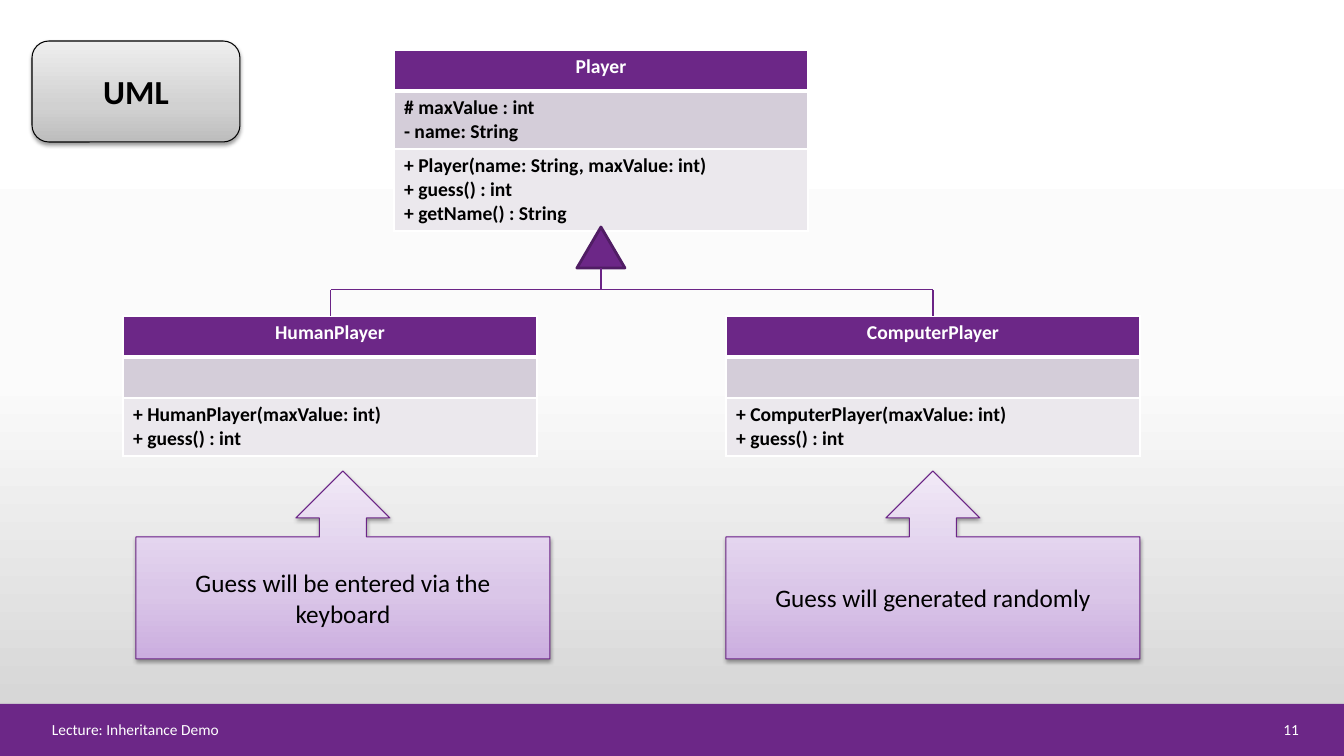
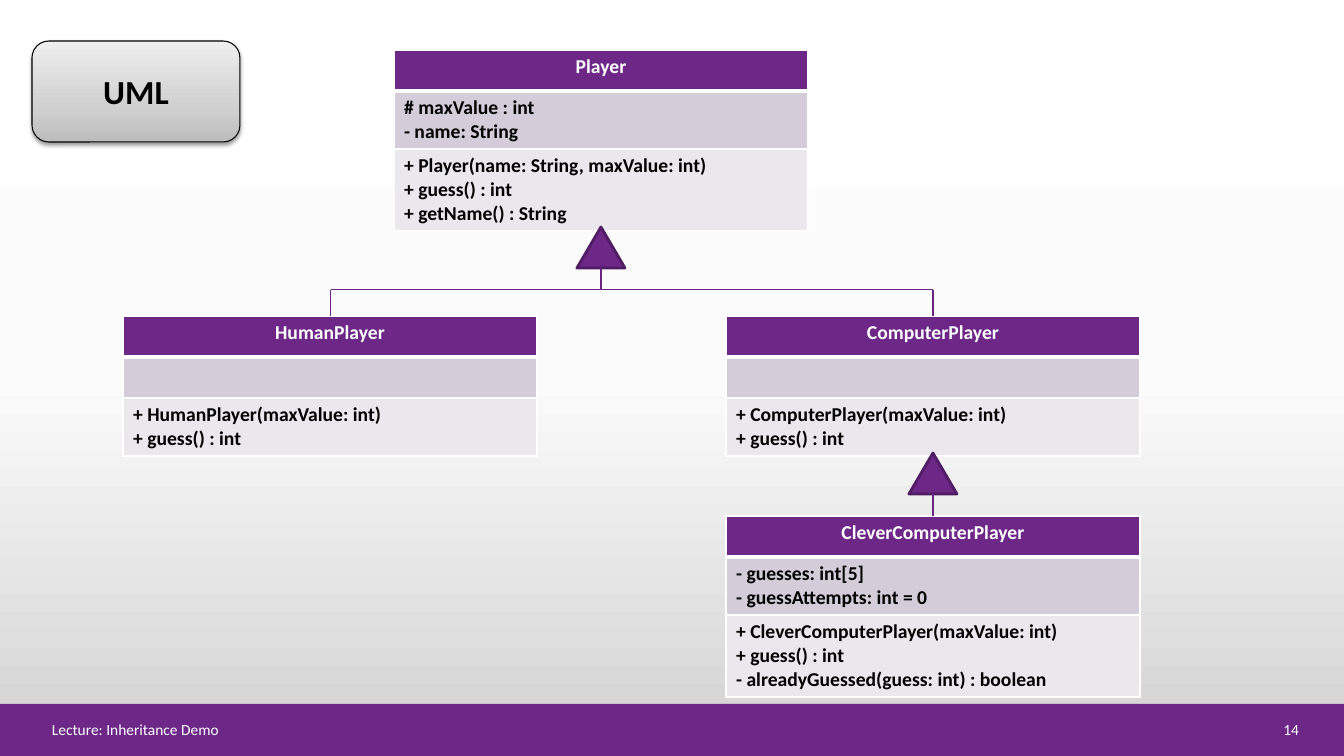
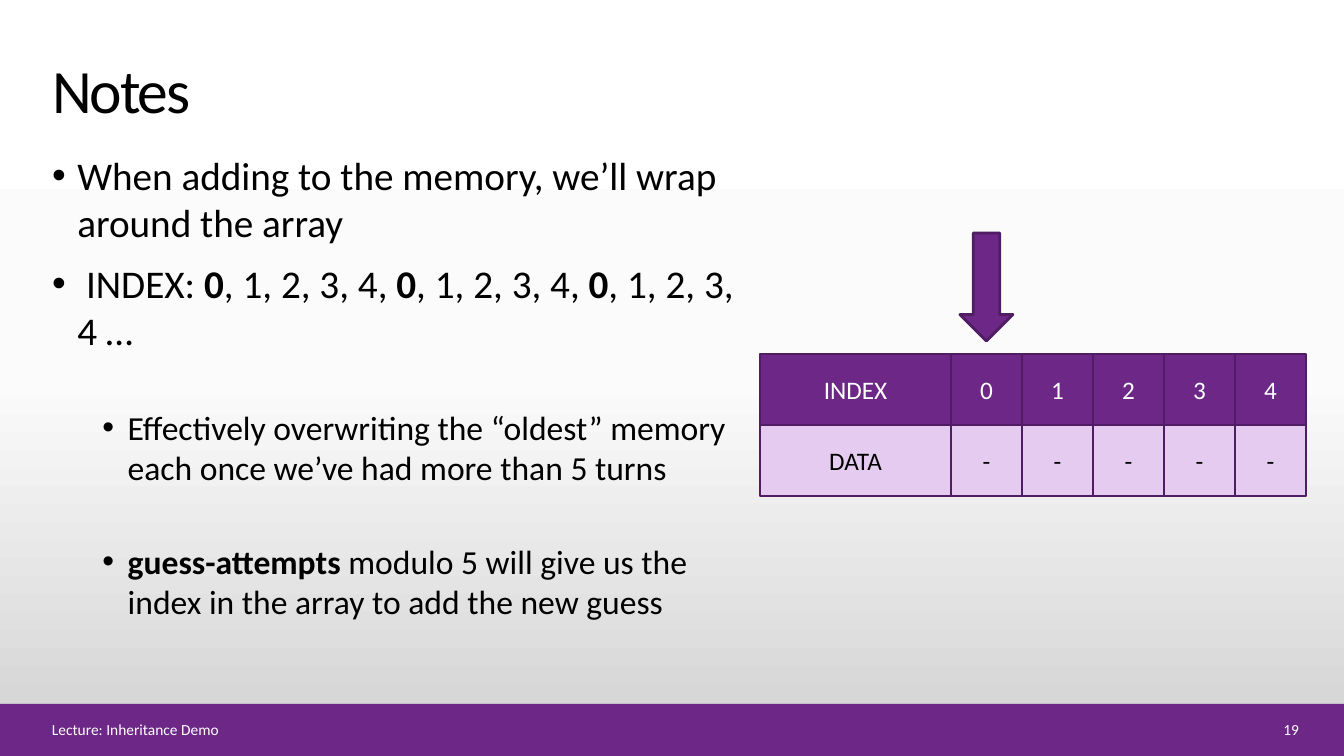
from dataclasses import dataclass

import lxml.etree
import pptx
import pptx.dml.color
import pptx.enum.shapes
import pptx.enum.text
import pptx.oxml.ns
import pptx.util

SHAPE = pptx.enum.shapes.MSO_SHAPE
ALIGN = pptx.enum.text.PP_ALIGN
ANCHOR = pptx.enum.text.MSO_ANCHOR
EMU_PER_PX = 914400 / 100.8
EMU_PER_PT = 12700

Stops = tuple[tuple[int, str], ...]


@dataclass(frozen=True)
class TextStyle:
    size: int
    color: str = "000000"
    bold: bool = False


@dataclass(frozen=True)
class Theme:
    font: str = "Calibri"
    purple: str = "6C2787"
    dark_purple: str = "501D64"
    line_purple: str = "6B2486"
    pale_purple: str = "E6CBF0"
    black: str = "000000"
    white: str = "FFFFFF"
    attribute_row: str = "D4CDD9"
    method_row: str = "EBE8ED"
    background: Stops = ((0, "FFFFFF"), (50, "FBFBFB"), (100, "D1D1D1"))
    callout: Stops = ((0, "CBADDF"), (35, "DAC6E8"), (100, "F1E9F7"))
    badge: Stops = ((0, "BDBDBD"), (35, "D1D1D1"), (100, "EEEEEE"))
    thin: float = 0.75
    thick: float = 2
    title: TextStyle = TextStyle(44)
    bullet: TextStyle = TextStyle(28)
    sub_bullet: TextStyle = TextStyle(24)
    badge_text: TextStyle = TextStyle(24, bold=True)
    body: TextStyle = TextStyle(18)
    body_light: TextStyle = TextStyle(18, "FFFFFF")
    member: TextStyle = TextStyle(14, bold=True)
    class_name: TextStyle = TextStyle(14, "FFFFFF", True)
    footer: TextStyle = TextStyle(11, "FFFFFF")


THEME = Theme()


@dataclass(frozen=True)
class Box:
    left: int
    top: int
    width: int
    height: int

    def emu(self) -> tuple[int, ...]:
        return tuple(px(v) for v in (self.left, self.top, self.width, self.height))


@dataclass(frozen=True)
class UmlClass:
    name: str
    attributes: tuple[str, ...]
    methods: tuple[str, ...]
    left: int
    top: int


@dataclass(frozen=True)
class Bullet:
    """One list item; its phrases are (text, bold) pairs."""
    level: int
    space_before: int
    phrases: tuple[tuple[str, bool], ...]


SLIDE = Box(0, 0, 1344, 756)
BAND = Box(0, 704, 1344, 52)
FOOTER = Box(42, 718, 1174, 23)
PAGE_NUMBER = Box(1233, 718, 76, 23)
BADGE = Box(32, 41, 208, 101)
CLASS_WIDTH = 414
ROW_HEIGHT = 41
TRIANGLE_WIDTH, TRIANGLE_HEIGHT = 48, 41
STEM = 22
COMPUTER_X = 933

PLAYER = UmlClass(
    "Player",
    ("# maxValue : int", "- name: String"),
    ("+ Player(name: String, maxValue: int)", "+ guess() : int", "+ getName() : String"),
    394, 50)
HUMAN = UmlClass(
    "HumanPlayer", (), ("+ HumanPlayer(maxValue: int)", "+ guess() : int"), 123, 316)
COMPUTER = UmlClass(
    "ComputerPlayer", (), ("+ ComputerPlayer(maxValue: int)", "+ guess() : int"), 726, 316)
CLEVER = UmlClass(
    "CleverComputerPlayer",
    ("- guesses: int[5]", "- guessAttempts: int = 0"),
    ("+ CleverComputerPlayer(maxValue: int)", "+ guess() : int",
     "- alreadyGuessed(guess: int) : boolean"),
    726, 516)

CALLOUTS = (
    (Box(136, 471, CLASS_WIDTH, 188), "Guess will be entered via the keyboard"),
    (Box(726, 471, CLASS_WIDTH, 188), "Guess will generated randomly"),
)

NOTES = (
    Bullet(0, 0, (("When adding to the memory, we’ll wrap around the array", False),)),
    Bullet(0, 10, ((" INDEX: ", False), ("0", True), (", 1, 2, 3, 4, ", False),
                   ("0", True), (", 1, 2, 3, 4, ", False),
                   ("0", True), (", 1, 2, 3, 4 …", False))),
    Bullet(1, 38, (("Effectively overwriting the “oldest” memory each once "
                    "we’ve had more than 5 turns", False),)),
    Bullet(1, 38, (("guess-attempts", True),
                   (" modulo 5 will give us the index in the array to add the new guess",
                    False))),
)


def px(value: float) -> int:
    return round(value * EMU_PER_PX)


def rgb(color: str) -> pptx.dml.color.RGBColor:
    return pptx.dml.color.RGBColor.from_string(color)


def add_element(parent, tag: str, **attributes):
    element = lxml.etree.SubElement(parent, pptx.oxml.ns.qn(tag))
    for key, value in attributes.items():
        element.set(key, str(value))
    return element


def format_run(run, style: TextStyle) -> None:
    run.font.name = THEME.font
    run.font.size = pptx.util.Pt(style.size)
    run.font.bold = style.bold
    run.font.color.rgb = rgb(style.color)


def write(frame, text: str, style: TextStyle, align=ALIGN.LEFT, anchor=None) -> None:
    frame.text = text
    frame.word_wrap = True
    if anchor is not None:
        frame.vertical_anchor = anchor
    for paragraph in frame.paragraphs:
        paragraph.alignment = align
        for run in paragraph.runs:
            format_run(run, style)


def fill_gradient(fill, owner, stops: Stops, angle: int) -> None:
    """Give the fill, the first gradient within owner, its stops and clockwise angle."""
    fill.gradient()
    gradient = owner.find(".//" + pptx.oxml.ns.qn("a:gradFill"))
    for child in list(gradient):
        gradient.remove(child)
    stop_list = add_element(gradient, "a:gsLst")
    for position, color in stops:
        stop = add_element(stop_list, "a:gs", pos=position * 1000)
        add_element(stop, "a:srgbClr", val=color)
    add_element(gradient, "a:lin", ang=angle * 60000, scaled=0)


def draw_shape(slide, kind, box: Box, fill: str | Stops,
               line: str | None = None, weight: float = THEME.thick):
    shape = slide.shapes.add_shape(kind, *box.emu())
    shape.shadow.inherit = False
    if isinstance(fill, str):
        shape.fill.solid()
        shape.fill.fore_color.rgb = rgb(fill)
    else:
        fill_gradient(shape.fill, shape._element, fill, 270)
    if line is None:
        shape.line.fill.background()
    else:
        shape.line.color.rgb = rgb(line)
        shape.line.width = pptx.util.Pt(weight)
    return shape


def draw_raised_panel(slide, kind, box: Box, stops: Stops, line: str,
                      text: str, style: TextStyle) -> None:
    """Draw a gradient shape with a soft shadow below it and centred text."""
    panel = draw_shape(slide, kind, box, stops, line, THEME.thin)
    effects = panel._element.spPr.find(pptx.oxml.ns.qn("a:effectLst"))
    shadow = add_element(effects, "a:outerShdw", blurRad=round(3.1 * EMU_PER_PT),
                         dist=round(1.6 * EMU_PER_PT), dir=90 * 60000, rotWithShape=0)
    color = add_element(shadow, "a:srgbClr", val=THEME.black)
    add_element(color, "a:alpha", val=38000)
    write(panel.text_frame, text, style, ALIGN.CENTER, ANCHOR.MIDDLE)


def draw_line(slide, x1: int, y1: int, x2: int, y2: int) -> None:
    line = slide.shapes.add_connector(
        pptx.enum.shapes.MSO_CONNECTOR.STRAIGHT, px(x1), px(y1), px(x2), px(y2))
    line.line.color.rgb = rgb(THEME.line_purple)
    line.line.width = pptx.util.Pt(THEME.thin)
    add_element(line._element.spPr, "a:effectLst")


def set_borders(cell, top: float, bottom: float) -> None:
    properties = cell._tc.get_or_add_tcPr()
    for side, weight in (("L", 1), ("R", 1), ("T", top), ("B", bottom)):
        edge = add_element(properties, f"a:ln{side}", w=round(weight * EMU_PER_PT))
        add_element(add_element(edge, "a:solidFill"), "a:srgbClr", val=THEME.white)


def draw_class(slide, uml: UmlClass) -> None:
    rows = (
        ((uml.name,), THEME.purple, THEME.class_name, ALIGN.CENTER, 1, 3),
        (uml.attributes, THEME.attribute_row, THEME.member, ALIGN.LEFT, 3, 1),
        (uml.methods, THEME.method_row, THEME.member, ALIGN.LEFT, 1, 1),
    )
    box = Box(uml.left, uml.top, CLASS_WIDTH, ROW_HEIGHT * len(rows))
    table = slide.shapes.add_table(len(rows), 1, *box.emu()).table
    for index, (lines, fill, style, align, top, bottom) in enumerate(rows):
        table.rows[index].height = px(max(ROW_HEIGHT, 24 * len(lines) + 10))
        cell = table.cell(index, 0)
        set_borders(cell, top, bottom)
        cell.fill.solid()
        cell.fill.fore_color.rgb = rgb(fill)
        write(cell.text_frame, "\n".join(lines), style, align)


def draw_inheritance(slide, x: int, top: int) -> int:
    """Draw the triangle and its stem below a parent class; return the stem's end."""
    box = Box(x - TRIANGLE_WIDTH // 2, top, TRIANGLE_WIDTH, TRIANGLE_HEIGHT)
    draw_shape(slide, SHAPE.ISOSCELES_TRIANGLE, box, THEME.purple, THEME.dark_purple)
    base = top + TRIANGLE_HEIGHT
    draw_line(slide, x, base, x, base + STEM)
    return base + STEM


def draw_player_family(slide) -> None:
    for uml in (PLAYER, HUMAN, COMPUTER):
        draw_class(slide, uml)
    branch = draw_inheritance(slide, 601, 227)
    child_xs = (331, COMPUTER_X)
    draw_line(slide, child_xs[0], branch, child_xs[1], branch)
    for x in child_xs:
        draw_line(slide, x, branch, x, HUMAN.top)
    draw_raised_panel(slide, SHAPE.ROUNDED_RECTANGLE, BADGE, THEME.badge,
                      THEME.black, "UML", THEME.badge_text)


def add_slide(deck, layout: int, number: int):
    slide = deck.slides.add_slide(deck.slide_layouts[layout])
    for box, text, align in ((FOOTER, "Lecture: Inheritance Demo", ALIGN.LEFT),
                             (PAGE_NUMBER, str(number), ALIGN.RIGHT)):
        frame = slide.shapes.add_textbox(*box.emu()).text_frame
        write(frame, text, THEME.footer, align, ANCHOR.MIDDLE)
    return slide


def style_master(deck, slide) -> None:
    """Set the shared background and move the footer band onto the master."""
    master = deck.slide_master
    fill_gradient(master.background.fill, master.element, THEME.background, 90)
    band = draw_shape(slide, SHAPE.RECTANGLE, BAND, THEME.purple)
    master.shapes._spTree.insert(2, band._element)


def place(placeholder, box: Box) -> None:
    placeholder.left, placeholder.top, placeholder.width, placeholder.height = box.emu()
    placeholder.text_frame.auto_size = pptx.enum.text.MSO_AUTO_SIZE.NONE


def write_bullets(frame, bullets: tuple[Bullet, ...]) -> None:
    frame.word_wrap = True
    frame.vertical_anchor = ANCHOR.TOP
    for index, bullet in enumerate(bullets):
        paragraph = frame.add_paragraph() if index else frame.paragraphs[0]
        paragraph.level = bullet.level
        properties = paragraph._p.get_or_add_pPr()
        indent = pptx.util.Inches(0.25)
        properties.set("marL", str(indent * (1 + 2 * bullet.level)))
        properties.set("indent", str(-indent))
        add_element(properties, "a:buFont", typeface="Arial")
        add_element(properties, "a:buChar", char="•")
        paragraph.space_before = pptx.util.Pt(bullet.space_before)
        size = (THEME.sub_bullet if bullet.level else THEME.bullet).size
        for text, bold in bullet.phrases:
            run = paragraph.add_run()
            run.text = text
            format_run(run, TextStyle(size, bold=bold))


def draw_memory(slide) -> None:
    """Draw the index and data rows, with an arrow at the first index."""
    left, top, label_width, cell = 760, 354, 191, 71
    rows = (
        (("INDEX", "0", "1", "2", "3", "4"), THEME.purple, THEME.body_light),
        (("DATA", "-", "-", "-", "-", "-"), THEME.pale_purple, THEME.body),
    )
    for row, (values, fill, style) in enumerate(rows):
        for column, value in enumerate(values):
            x = left + label_width + (column - 1) * cell if column else left
            box = Box(x, top + row * cell, cell if column else label_width, cell)
            square = draw_shape(slide, SHAPE.RECTANGLE, box, fill, THEME.dark_purple)
            write(square.text_frame, value, style, ALIGN.CENTER, ANCHOR.MIDDLE)
    draw_shape(slide, SHAPE.DOWN_ARROW, Box(960, 233, 53, 108),
               THEME.purple, THEME.dark_purple)


def build_notes(slide) -> None:
    title = slide.shapes.title
    place(title, Box(42, 40, 1048, 88))
    write(title.text_frame, "Notes", THEME.title, ALIGN.LEFT, ANCHOR.BOTTOM)
    title.text_frame.margin_bottom = px(2)
    title.text_frame.paragraphs[0].runs[0].font._element.set("spc", "-150")
    body = slide.placeholders[1]
    place(body, Box(42, 146, 702, 535))
    write_bullets(body.text_frame, NOTES)
    draw_memory(slide)


def main() -> None:
    deck = pptx.Presentation()
    deck.slide_width, deck.slide_height = px(SLIDE.width), px(SLIDE.height)

    first_uml = add_slide(deck, 6, 11)
    style_master(deck, first_uml)
    draw_player_family(first_uml)
    for box, text in CALLOUTS:
        draw_raised_panel(first_uml, SHAPE.UP_ARROW_CALLOUT, box, THEME.callout,
                          THEME.line_purple, text, THEME.body)

    second_uml = add_slide(deck, 6, 14)
    draw_player_family(second_uml)
    draw_class(second_uml, CLEVER)
    draw_inheritance(second_uml, COMPUTER_X, 453)

    build_notes(add_slide(deck, 1, 19))
    deck.save("out.pptx")


if __name__ == "__main__":
    main()
